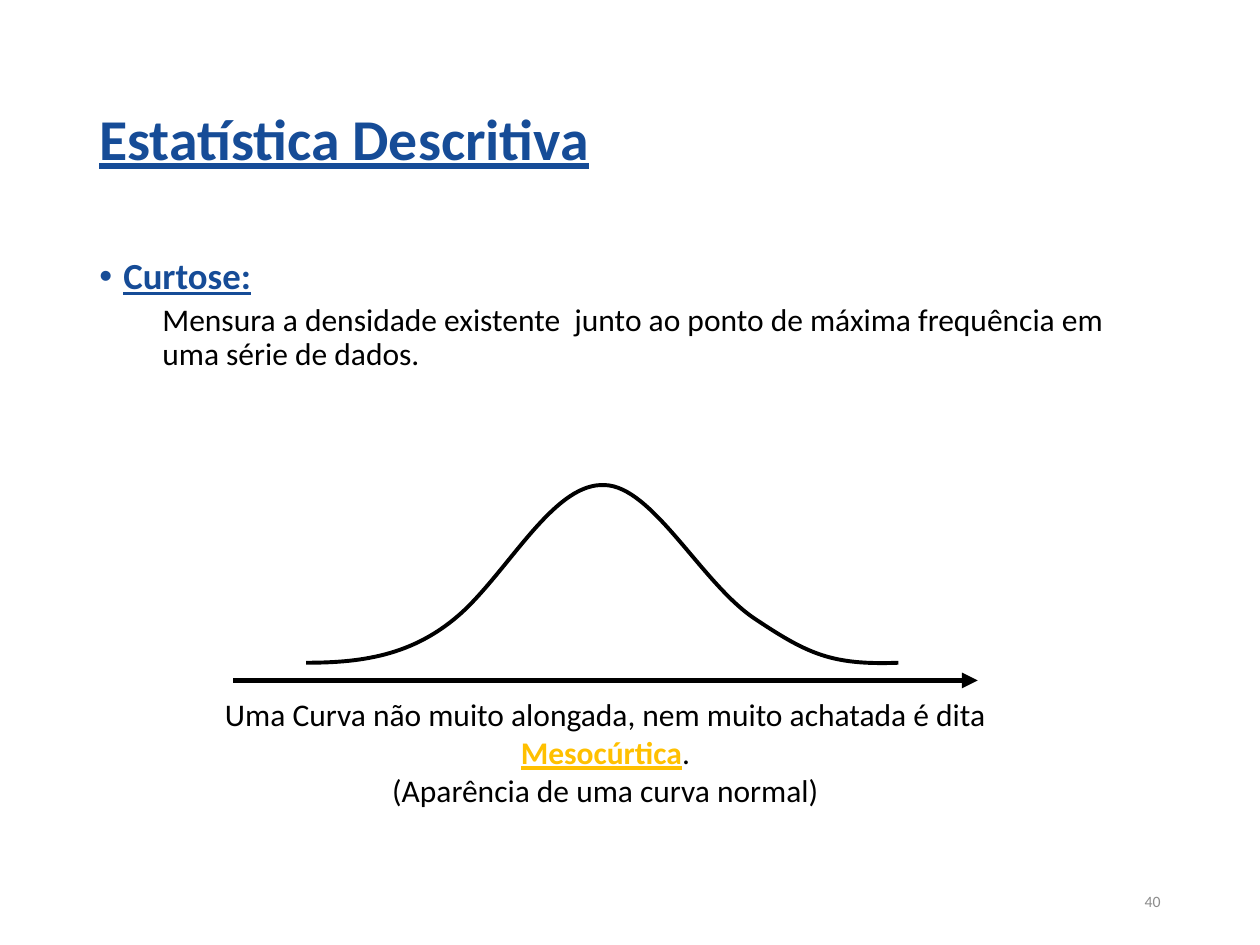
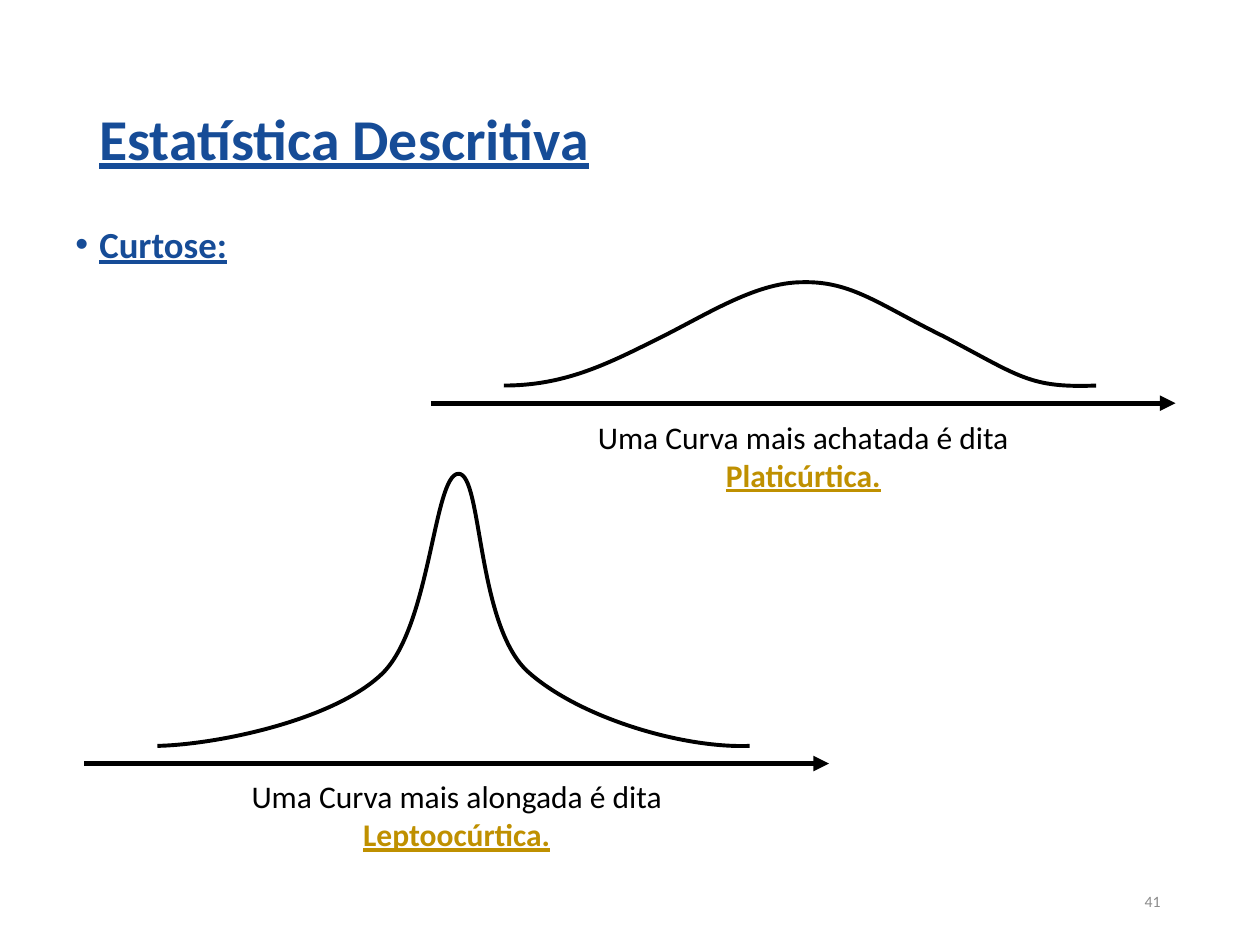
from collections import namedtuple
from lxml.etree import SubElement
from pptx import Presentation
from pptx.dml.color import RGBColor
from pptx.enum.text import MSO_ANCHOR as Anchor, MSO_AUTO_SIZE as AutoSize, PP_ALIGN as Align
from pptx.oxml.ns import qn
from pptx.util import Inches, Pt

COLUMNS, ROWS = 1000, 750
CELL = Inches(0.01)
FONT = "Calibri"
BLUE, BLACK, GREY = "164C97", "000000", "8C8C8C"
AMBER, OCHRE = "FFC000", "BF9000"
AXIS_LENGTH, CAPTION_LINE, CAPTION_MARGINS = 591, 30, 11

Box = namedtuple("Box", "left top width height")
Caption = namedtuple("Caption", "gap width lines")
TITLE_BOX = Box(69, 40, 862, 145)
NUMBER_BOX = Box(706, 695, 225, 40)

MESOKURTIC = [(58, 14), (104, 14), (147, 20), (186, 58), (224, 96), (257, 157), (295, 155),
              (333, 154), (372, 77), (414, 49), (456, 21), (475, 12), (528, 14)]
PLATYKURTIC = [(58, 14), (105, 14), (138, 30), (178, 50), (217, 69), (257, 96), (295, 96),
               (334, 97), (356, 78), (407, 53), (468, 21), (475, 12), (528, 14)]
LEPTOKURTIC = [(58, 14), (105, 15), (196, 34), (235, 70), (275, 106), (277, 230), (297, 230),
               (316, 230), (311, 108), (353, 72), (394, 36), (475, 12), (528, 14)]


def color(code):
    return RGBColor.from_string(code)


def cells(*counts):
    return [round(count * CELL) for count in counts]


def add_text_frame(shapes, box, anchor=Anchor.TOP):
    frame = shapes.add_textbox(*cells(*box)).text_frame
    frame.word_wrap = True
    frame.vertical_anchor = anchor
    return frame


def next_paragraph(frame):
    first = frame.paragraphs[0]
    return frame.add_paragraph() if first.runs else first


def write(para, text, size, code, strong=False):
    span = para.add_run()
    span.text = text
    font = span.font
    font.name, font.size = FONT, Pt(size)
    font.bold = font.underline = strong
    font.color.rgb = color(code)


def indent(para, margin, first_line=0, bullet=None):
    settings = para._p.get_or_add_pPr()
    settings.set("marL", str(round(margin * CELL)))
    settings.set("indent", str(round(first_line * CELL)))
    if bullet:
        SubElement(settings, qn("a:buFont")).set("typeface", "Arial")
        SubElement(settings, qn("a:buChar")).set("char", bullet)


def add_title(page):
    para = add_text_frame(page.shapes, TITLE_BOX, Anchor.MIDDLE).paragraphs[0]
    para.line_spacing = 0.9
    write(para, "Estatística Descritiva", 33, BLUE, True)


def add_number(page, number):
    para = add_text_frame(page.shapes, NUMBER_BOX, Anchor.MIDDLE).paragraphs[0]
    para.alignment = Align.RIGHT
    write(para, str(number), 9, GREY)


def add_topic(page, box, heading, detail=None):
    frame = add_text_frame(page.shapes, box)
    para = next_paragraph(frame)
    para.line_spacing, para.space_before = 0.9, Pt(7.5)
    indent(para, 19, -19, "•")
    write(para, heading, 21, BLUE, True)
    if detail:
        para = next_paragraph(frame)
        para.level = 1
        para.line_spacing, para.space_before = 0.9, Pt(3.8)
        indent(para, 50)
        write(para, detail, 18, BLACK)


def add_axis(shapes, left, top):
    axis = shapes.add_connector(1, *cells(left, top, left + AXIS_LENGTH, top))
    axis.line.color.rgb = color(BLACK)
    axis.line.width = Pt(3)
    SubElement(axis.line._get_or_add_ln(), qn("a:tailEnd")).set("type", "triangle")
    SubElement(axis._element.spPr, qn("a:effectLst"))


def bend_segments(curve):
    outline = next(curve._element.iter(qn("a:path")))
    segments = outline.findall(qn("a:lnTo"))
    for first in range(0, len(segments), 3):
        bend = SubElement(outline, qn("a:cubicBezTo"))
        for segment in segments[first:first + 3]:
            bend.append(segment[0])
            outline.remove(segment)


def add_curve(shapes, left, base, knots):
    points = [cells(left + across, base - height) for across, height in knots]
    builder = shapes.build_freeform(*points[0])
    builder.add_line_segments(points[1:], close=False)
    curve = builder.convert_to_shape()
    bend_segments(curve)
    curve.shadow.inherit = False
    curve.fill.background()
    curve.line.color.rgb = color(BLACK)
    curve.line.width = Pt(2.25)


def add_caption(shapes, left, base, caption):
    box = Box(left + (AXIS_LENGTH - caption.width) / 2, base + caption.gap, caption.width,
              CAPTION_MARGINS + CAPTION_LINE * len(caption.lines))
    frame = add_text_frame(shapes, box)
    frame.word_wrap = False
    frame.auto_size = AutoSize.SHAPE_TO_FIT_TEXT
    for line in caption.lines:
        para = next_paragraph(frame)
        para.alignment = Align.CENTER
        for text, code in line:
            write(para, text, 18, code, code != BLACK)


def add_figure(page, left, base, knots, caption):
    shapes = page.shapes.add_group_shape().shapes
    add_axis(shapes, left, base)
    add_curve(shapes, left, base, knots)
    add_caption(shapes, left, base, caption)


def build_mesokurtic_page(page):
    add_topic(page, Box(69, 200, 862, 476), "Curtose:",
              "Mensura a densidade existente  junto ao ponto de máxima frequência em "
              "uma série de dados.")
    add_number(page, 40)
    add_figure(page, 185, 540, MESOKURTIC, Caption(7, 688, [
        [("Uma Curva não muito alongada, nem muito achatada é dita", BLACK)],
        [("Mesocúrtica", AMBER), (".", BLACK)],
        [("(Aparência de uma curva normal)", BLACK)]]))
    add_title(page)


def build_comparison_page(page):
    add_topic(page, Box(50, 175, 900, 74), "Curtose:")
    add_number(page, 41)
    add_figure(page, 342, 320, PLATYKURTIC, Caption(7, 348, [
        [("Uma Curva mais achatada é dita", BLACK)], [("Platicúrtica.", OCHRE)]]))
    add_figure(page, 67, 606, LEPTOKURTIC, Caption(6, 350, [
        [("Uma Curva mais alongada é dita", BLACK)], [("Leptoocúrtica.", OCHRE)]]))
    add_title(page)


def main():
    deck = Presentation()
    deck.slide_width, deck.slide_height = cells(COLUMNS, ROWS)
    for build in (build_mesokurtic_page, build_comparison_page):
        build(deck.slides.add_slide(deck.slide_layouts[6]))
    deck.save("out.pptx")


if __name__ == "__main__":
    main()
